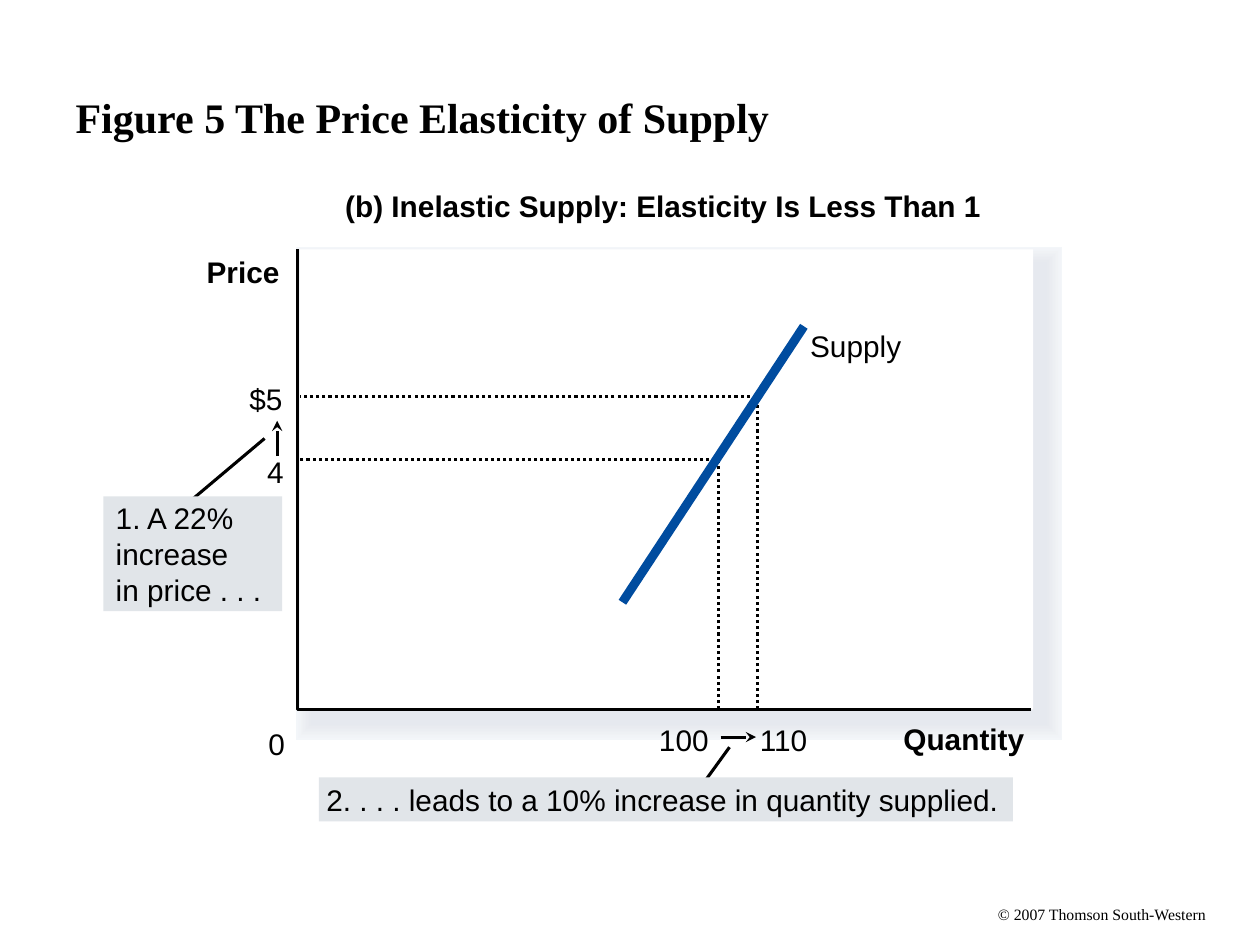
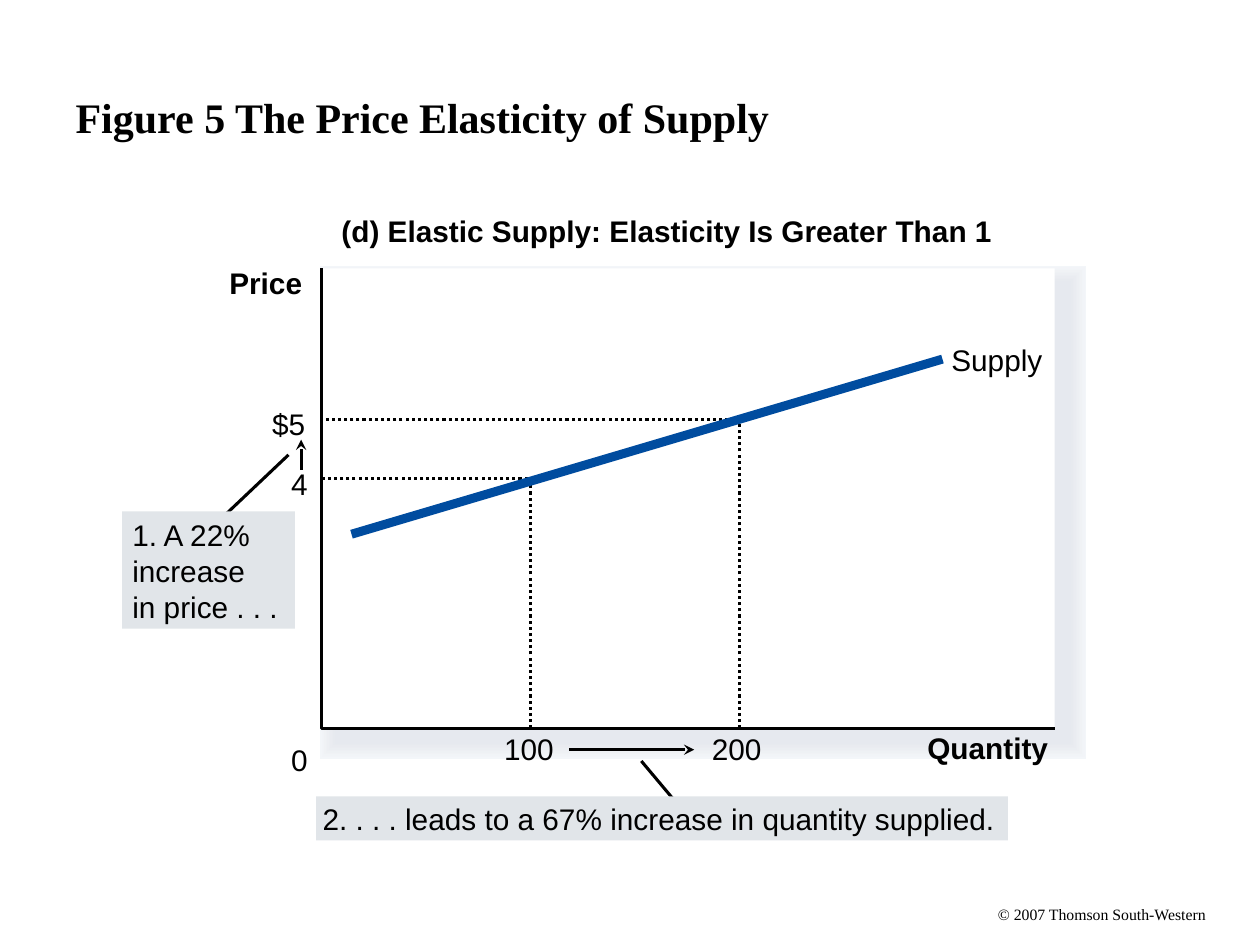
from pptx import Presentation
from pptx import util as u
from pptx.dml.color import RGBColor
from pptx.enum import dml, shapes, text
from pptx.oxml import ns
from lxml import etree

PX = 9144  # 100 px to the inch
SANS, SERIF = "Arial", "Times New Roman"
HEX = {"ink": "000000", "paper": "FFFFFF", "note": "E1E5E9", "supply": "004C9F"}
GLOW = ["F3F6F9", "F2F4F8", "F1F4F7", "F0F2F5", "EEF1F4", "EDEFF3",
        "EBEEF2", "EAECF1", "E9EBF0", "E7EAEF", "E6E9EF"]
WIDE, TALL = 582, 365  # plot area
HEAD = "Figure 5 The Price Elasticity of Supply"
FOOT = "© 2007 Thomson South-Western"
CAUSE = ["1. A 22%", "increase", "in price . . ."]

# Labels: text, left, top, width, bold
# Ticks: guide corner x, y; price label and its place; quantity label and its place
GRAPHS = [
    {
        "axis": (236, 198), "panel": (238, 198), "glow": (248, 209),
        "labels": [
            ("(b) Inelastic Supply: Elasticity Is Less Than 1", 274, 149, 510, True),
            ("Price", 164, 201, 62, True),
            ("Quantity", 717, 572, 100, True),
            ("0", 213, 576, 15, False),
            ("Supply", 643, 260, 78, False),
        ],
        "ticks": [
            (601, 315, "$5", 198, 302, "110", 603, 573),
            (570, 365, "4", 212, 360, "100", 523, 573),
        ],
        "arrows": [(220, 362, 220, 334), (572, 585, 600, 585)],
        "leads": [(153, 396, 210, 348), (579, 593, 558, 622)],
        "notes": [
            (CAUSE, 82, 394, 142, 91, 10),
            (["2. . . . leads to a 10% increase in quantity supplied."],
             253, 617, 551, 35, 6),
        ],
        "supply": (638, 259, 494, 478),
    },
    {
        "axis": (255, 213), "panel": (255, 213), "glow": (267, 224),
        "labels": [
            ("(d) Elastic Supply: Elasticity Is Greater Than 1", 271, 169, 522, True),
            ("Price", 182, 210, 62, True),
            ("Quantity", 736, 579, 100, True),
            ("0", 231, 589, 15, False),
            ("Supply", 755, 271, 78, False),
        ],
        "ticks": [
            (587, 333, "$5", 216, 322, "200", 565, 580),
            (421, 380, "4", 231, 370, "100", 400, 580),
        ],
        "arrows": [(239, 373, 239, 349), (452, 595, 551, 595)],
        "leads": [(172, 415, 229, 361), (509, 604, 535, 635)],
        "notes": [
            (CAUSE, 97, 406, 137, 93, 8),
            (["2. . . . leads to a 67% increase in quantity supplied."],
             251, 632, 549, 35, 5),
        ],
        "supply": (748, 285, 279, 424),
    },
]


def write(frame, lines, size=17, bold=False, face=SANS, inset=0, pitch=None):
    """Fill a text frame with one left-aligned paragraph a line."""
    frame.margin_left = inset * PX
    frame.margin_top = frame.margin_right = frame.margin_bottom = 0
    frame.text = "\n".join(lines)
    for para in frame.paragraphs:
        para.alignment = text.PP_ALIGN.LEFT
        if pitch:
            para.line_spacing = u.Pt(pitch)
        para.font.name, para.font.size, para.font.bold = face, u.Pt(size), bold
        para.font.color.rgb = RGBColor.from_string(HEX["ink"])


def draw(page, pts, color="ink", width=1.75, dots=False, arrow=False):
    """Draw a connector for two points, or an open outline for more."""
    pts = [(x * PX, y * PX) for x, y in pts]
    if len(pts) == 2:
        item = page.add_connector(shapes.MSO_CONNECTOR.STRAIGHT, *pts[0], *pts[1])
        etree.SubElement(item._element.spPr, ns.qn("a:effectLst"))
    else:
        form = page.build_freeform(*pts[0])
        form.add_line_segments(pts[1:], close=False)
        item = form.convert_to_shape()
        item.fill.background()
        item.shadow.inherit = False
    item.line.color.rgb = RGBColor.from_string(HEX[color])
    item.line.width = u.Pt(width)
    if dots:
        item.line.dash_style = dml.MSO_LINE.ROUND_DOT
    if arrow:
        edge = item._element.spPr.find(ns.qn("a:ln"))
        etree.SubElement(edge, ns.qn("a:tailEnd"), type="stealth")


deck = Presentation()
deck.slide_width, deck.slide_height = 1000 * PX, 750 * PX

for graph in GRAPHS:
    slide = deck.slides.add_slide(deck.slide_layouts[5])
    page = slide.shapes
    title = page.title
    title.left, title.top, title.width, title.height = [
        n * PX for n in (50, 30, 900, 125)]
    write(title.text_frame, [HEAD], 24, True, SERIF, inset=10)
    title.text_frame.vertical_anchor = text.MSO_ANCHOR.MIDDLE

    # Soft shadow: outlines narrow as the grey deepens, then the white plot panel
    layers = [(*graph["glow"], tone, 18.75 - 1.7 * i) for i, tone in enumerate(GLOW)]
    layers.append((*graph["panel"], HEX["paper"], 0))
    for left, top, tone, width in layers:
        sheet = page.add_shape(shapes.MSO_SHAPE.RECTANGLE,
                               left * PX, top * PX, WIDE * PX, TALL * PX)
        sheet.shadow.inherit = False
        sheet.fill.solid()
        sheet.fill.fore_color.rgb = RGBColor.from_string(tone)
        if width:
            sheet.line.color.rgb = RGBColor.from_string(tone)
            sheet.line.width = u.Pt(width)
            edge = sheet._element.spPr.find(ns.qn("a:ln"))
            etree.SubElement(edge, ns.qn("a:miter"), lim="800000")
        else:
            sheet.line.fill.background()

    left, top = graph["axis"]
    base = top + TALL
    draw(page, [(left, top), (left, base), (left + WIDE, base)])

    labels = list(graph["labels"])
    for x, y, price, px, py, count, cx, cy in graph["ticks"]:
        draw(page, [(x, base), (x, y), (graph["panel"][0], y)], dots=True)
        labels.append((price, px, py, 15 * len(price), False))
        labels.append((count, cx, cy, 15 * len(count), False))

    for x, y, tox, toy in graph["arrows"]:
        draw(page, [(x, y), (tox, toy)], arrow=True)
    for x, y, tox, toy in graph["leads"]:
        draw(page, [(x, y), (tox, toy)])

    for lines, x, y, wide, tall, inset in graph["notes"]:
        note = page.add_shape(shapes.MSO_SHAPE.RECTANGLE,
                              x * PX, y * PX, wide * PX, tall * PX)
        note.shadow.inherit = False
        note.fill.solid()
        note.fill.fore_color.rgb = RGBColor.from_string(HEX["note"])
        note.line.fill.background()
        note.text_frame.word_wrap = True
        note.text_frame.vertical_anchor = text.MSO_ANCHOR.MIDDLE
        write(note.text_frame, lines, inset=inset,
              pitch=20.6 if len(lines) > 1 else None)

    x, y, tox, toy = graph["supply"]
    draw(page, [(x, y), (tox, toy)], "supply", 5.13)

    for words, x, y, wide, bold in labels:
        box = page.add_textbox(x * PX, y * PX, wide * PX, 28 * PX)
        box.text_frame.word_wrap = False
        write(box.text_frame, [words], bold=bold)

    foot = page.add_textbox(792 * PX, 718 * PX, 170 * PX, 15 * PX)
    foot.text_frame.word_wrap = False
    write(foot.text_frame, [FOOT], 9, face=SERIF)

deck.save("out.pptx")
